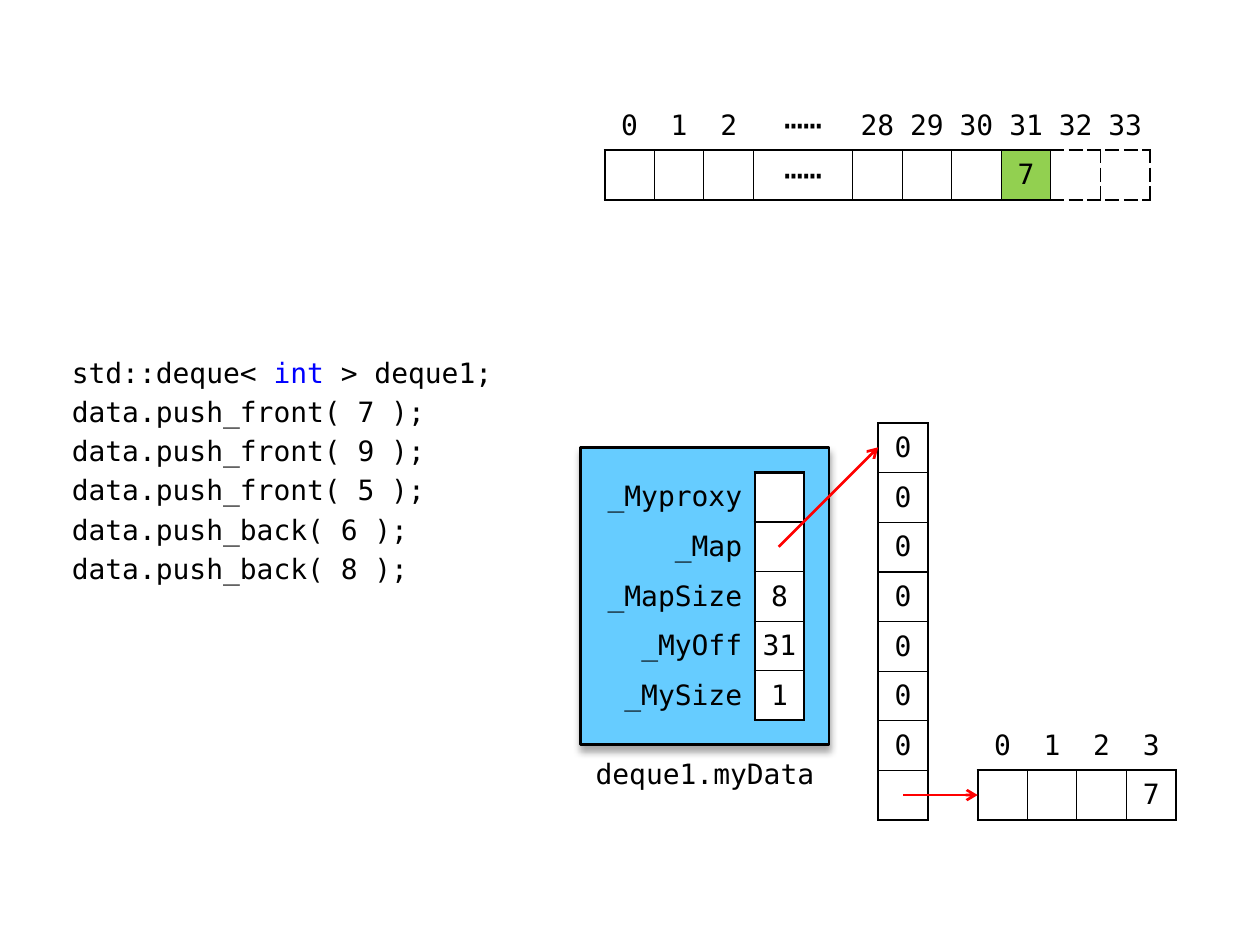
from lxml import etree
from pptx import Presentation
from pptx import util as u
from pptx.dml import color as dml
from pptx.enum import shapes, text
from pptx.oxml import ns

FONT = "DejaVu Sans Mono"
COLORS = {"ink": "000000", "keyword": "0000FF", "cell": "FFFFFF",
          "used": "92D050", "object": "66CCFF", "pointer": "FF0000"}
CELL = 1 / 2.54  # every grid is built on one-centimetre cells
THICK, THIN = 1.5, 0.75
DOTS = "⋯⋯"
# Border element, then the step to the neighbour in rows and columns
SIDES = {"a:lnL": (0, -1), "a:lnR": (0, 1), "a:lnT": (-1, 0), "a:lnB": (1, 0)}


def rgb(name):
    return dml.RGBColor.from_string(COLORS[name])


def child(parent, tag, **attributes):
    element = etree.SubElement(parent, ns.qn(tag))
    for key, value in attributes.items():
        element.set(key, str(value))
    return element


def add_text(paragraph, content, size=16, color="ink", align=None):
    run = paragraph.add_run()
    run.text = content
    run.font.name = FONT
    run.font.size = u.Pt(size)
    run.font.color.rgb = rgb(color)
    if align is not None:
        paragraph.alignment = align


def add_code(slide, lines, left, top, width, height):
    """Each line is a list of (text, colour) pieces in the body placeholder."""
    body = slide.placeholders[1]
    body.left, body.top, body.width, body.height = map(
        u.Inches, (left, top, width, height))
    frame = body.text_frame
    frame.auto_size = text.MSO_AUTO_SIZE.NONE
    for index, pieces in enumerate(lines):
        paragraph = frame.add_paragraph() if index else frame.paragraphs[0]
        properties = paragraph._p.get_or_add_pPr()
        properties.set("marL", "0")
        properties.set("indent", "0")
        child(properties, "a:buNone")
        for content, color in pieces:
            add_text(paragraph, content, color=color)


def set_border(cell, position, tag, width, dashed):
    properties = cell._tc.get_or_add_tcPr()
    line = etree.Element(ns.qn(tag), w=str(u.Pt(width)))
    if width:
        fill = child(line, "a:solidFill")
        child(fill, "a:srgbClr", val=COLORS["ink"])
        child(line, "a:prstDash", val="dash" if dashed else "solid")
    else:
        child(line, "a:noFill")
    properties.insert(position, line)


def add_grid(slide, left, top, rows, widths, first_row=0, first_column=0,
             dashed_from=None, used=None):
    """Cells from (first_row, first_column) on are boxed; the rest are labels."""
    row_count, column_count = len(rows), len(widths)
    table = slide.shapes.add_table(
        row_count, column_count, u.Inches(left), u.Inches(top),
        u.Inches(sum(widths)), u.Inches(row_count * CELL)).table
    table.first_row = table.horz_banding = False
    for column, width in zip(table.columns, widths):
        column.width = u.Inches(width)
    for row in table.rows:
        row.height = u.Inches(CELL)

    def boxed(r, c):
        return first_row <= r < row_count and first_column <= c < column_count

    for r, row in enumerate(rows):
        for c, content in enumerate(row):
            cell = table.cell(r, c)
            is_label = c < first_column
            cell.vertical_anchor = text.MSO_ANCHOR.MIDDLE
            cell.margin_top = cell.margin_bottom = u.Inches(0.04)
            cell.margin_left = cell.margin_right = u.Inches(
                0.1 if is_label else 0.04)
            if boxed(r, c):
                cell.fill.solid()
                cell.fill.fore_color.rgb = rgb(
                    "used" if (r, c) == used else "cell")
            else:
                cell.fill.background()
            if content:
                align = text.PP_ALIGN.RIGHT if is_label else text.PP_ALIGN.CENTER
                add_text(cell.text_frame.paragraphs[0], content,
                         size=18 if content == DOTS else 16, align=align)
            # Thick around the box, thin inside it, none among the labels
            for position, (tag, (down, right)) in enumerate(SIDES.items()):
                count = boxed(r, c) + boxed(r + down, c + right)
                dashed = dashed_from is not None and (
                    c >= dashed_from and c + right >= dashed_from)
                set_border(cell, position, tag, (0, THICK, THIN)[count], dashed)


def add_object_box(slide, left, top, width, height):
    box = slide.shapes.add_shape(
        shapes.MSO_SHAPE.FLOWCHART_PROCESS,
        *map(u.Inches, (left, top, width, height)))
    box.fill.solid()
    box.fill.fore_color.rgb = rgb("object")
    box.line.color.rgb = rgb("ink")
    box.line.width = u.Pt(THICK)
    box.shadow.inherit = False
    effects = box._element.spPr.find(ns.qn("a:effectLst"))
    shadow = child(effects, "a:outerShdw", blurRad=u.Pt(4), dist=u.Pt(3),
                   dir=90 * 60000, rotWithShape=0)
    tint = child(shadow, "a:srgbClr", val=COLORS["ink"])
    child(tint, "a:alpha", val=35000)


def add_caption(slide, content, left, top, width, height):
    frame = slide.shapes.add_textbox(
        *map(u.Inches, (left, top, width, height))).text_frame
    frame.word_wrap = True
    frame.vertical_anchor = text.MSO_ANCHOR.MIDDLE
    frame.margin_left = frame.margin_right = u.Inches(0.08)
    frame.margin_top, frame.margin_bottom = u.Inches(0.04), 0
    add_text(frame.paragraphs[0], content, align=text.PP_ALIGN.CENTER)


def add_pointer(slide, start, end):
    arrow = slide.shapes.add_connector(
        shapes.MSO_CONNECTOR.STRAIGHT, *map(u.Inches, start + end))
    arrow.line.color.rgb = rgb("pointer")
    arrow.line.width = u.Pt(THICK)
    child(arrow.line._get_or_add_ln(), "a:tailEnd", type="arrow")
    child(arrow._element.spPr, "a:effectLst")


def main():
    presentation = Presentation()
    presentation.slide_width, presentation.slide_height = u.Inches(10), u.Inches(7.5)
    slide = presentation.slides.add_slide(presentation.slide_layouts[1])
    title = slide.shapes.title._element
    title.getparent().remove(title)

    # Code
    calls = ["push_front( 7 )", "push_front( 9 )", "push_front( 5 )",
             "push_back( 6 )", "push_back( 8 )"]
    declaration = [("std::deque< ", "ink"), ("int", "keyword"),
                   (" > deque1;", "ink")]
    add_code(slide, [declaration] + [[(f"data.{call};", "ink")] for call in calls],
             0.47, 2.77, 3.54, 1.97)

    # Logical sequence with its indexes
    indexes = ["0", "1", "2", DOTS] + [str(n) for n in range(28, 34)]
    values = [""] * 3 + [DOTS] + [""] * 3 + ["7", "", ""]
    widths = [2 * CELL if index == DOTS else CELL for index in indexes]
    add_grid(slide, 4.8, 0.8, [indexes, values], widths, first_row=1,
             dashed_from=8, used=(1, 7))

    # Deque object and its members
    add_object_box(slide, 4.61, 3.55, 1.97, 2.36)
    add_caption(slide, "deque1.myData", 4.61, 5.92, 1.97, 0.39)
    members = [("_Myproxy", ""), ("_Map", ""), ("_MapSize", "8"),
               ("_MyOff", "31"), ("_MySize", "1")]
    add_grid(slide, 4.61, 3.75, members, [1.38, CELL], first_column=1)

    # Map of blocks, and the only block in use
    add_grid(slide, 6.97, 3.36, [["0"]] * 7 + [[""]], [CELL])
    add_grid(slide, 7.76, 5.72, [["0", "1", "2", "3"], ["", "", "", "7"]],
             [CELL] * 4, first_row=1)

    # Pointers
    add_pointer(slide, (6.18, 4.34), (6.97, 3.55))
    add_pointer(slide, (7.17, 6.31), (7.76, 6.31))

    presentation.save("out.pptx")


if __name__ == "__main__":
    main()
